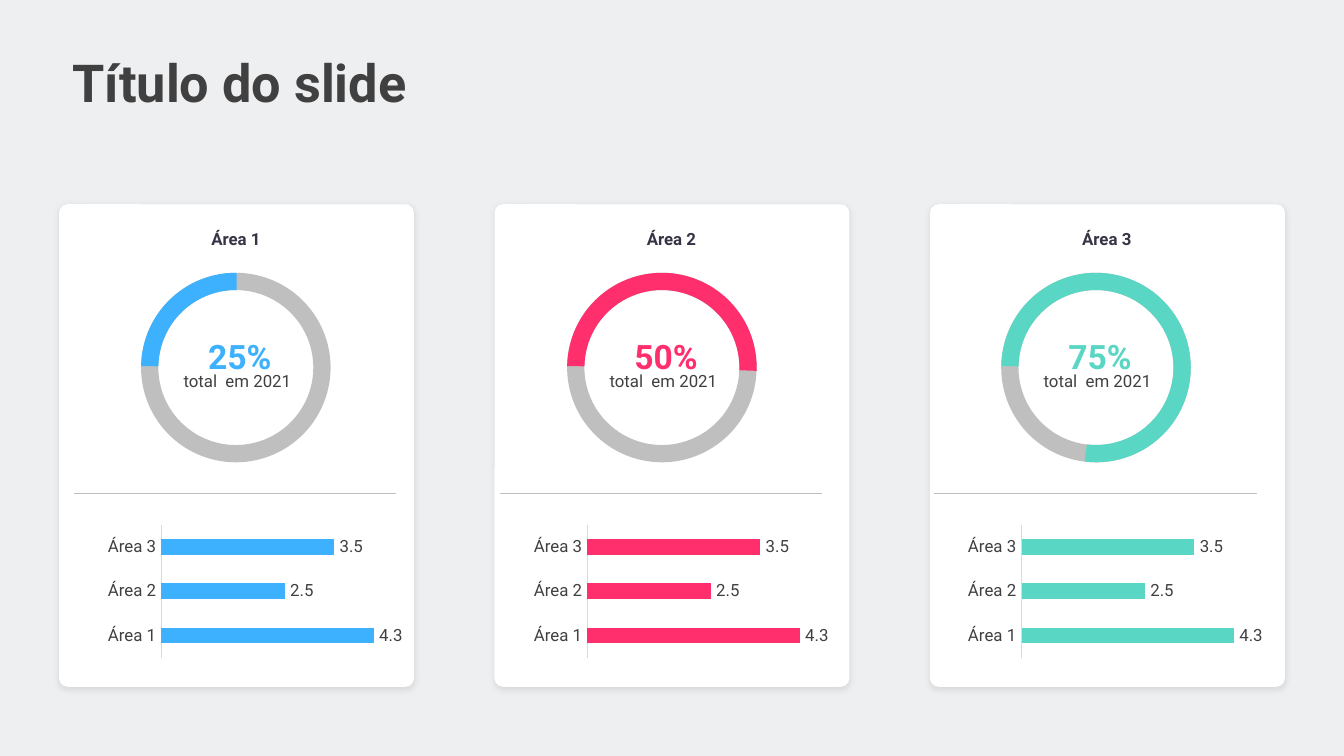
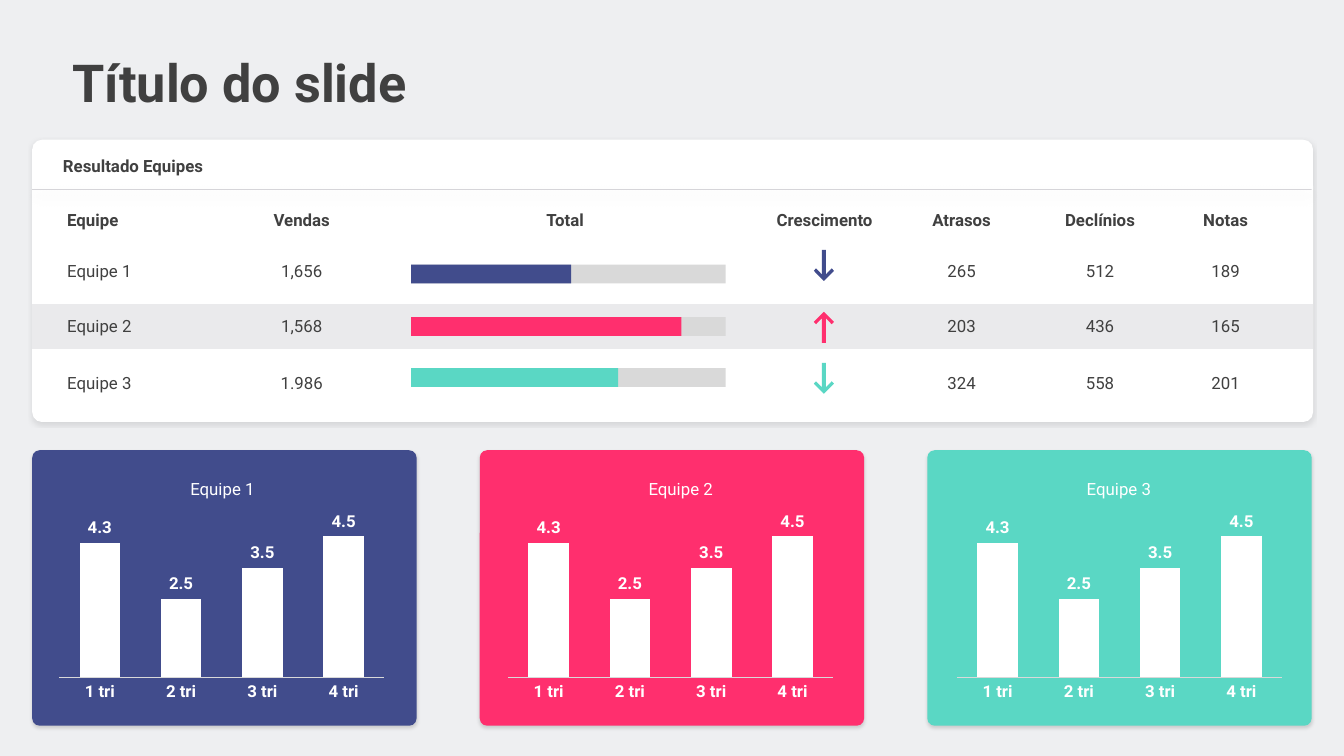
from lxml import etree
from pptx import Presentation
from pptx.chart.data import CategoryChartData
from pptx.dml.color import RGBColor
from pptx.enum.chart import XL_CHART_TYPE, XL_LABEL_POSITION, XL_TICK_MARK
from pptx.enum.shapes import MSO_CONNECTOR, MSO_SHAPE
from pptx.enum.text import MSO_ANCHOR, MSO_AUTO_SIZE, PP_ALIGN
from pptx.oxml.ns import qn
from pptx.util import Inches, Pt

BAR, COLUMN = XL_CHART_TYPE.BAR_CLUSTERED, XL_CHART_TYPE.COLUMN_CLUSTERED
OUTSIDE_END, NO_TICK = XL_LABEL_POSITION.OUTSIDE_END, XL_TICK_MARK.NONE
RECT, ROUNDED, ARC = MSO_SHAPE.RECTANGLE, MSO_SHAPE.ROUNDED_RECTANGLE, MSO_SHAPE.BLOCK_ARC
STRAIGHT = MSO_CONNECTOR.STRAIGHT
LEFT, CENTER = PP_ALIGN.LEFT, PP_ALIGN.CENTER
TOP, MIDDLE = MSO_ANCHOR.TOP, MSO_ANCHOR.MIDDLE
FIT_SHAPE, NO_FIT = MSO_AUTO_SIZE.SHAPE_TO_FIT_TEXT, MSO_AUTO_SIZE.NONE

FONT = "Roboto"
PAGE, WHITE, TEXT, DARK = "EEEFF1", "FFFFFF", "404040", "373545"
RING_GRAY, TRACK_GRAY, BAND_GRAY = "BFBFBF", "D9D9D9", "EAEAEC"
BLUE, PINK, TEAL, NAVY = "3DB1FE", "FF2F6E", "5AD7C4", "414C8C"
NO_GRID_STYLE = "{2D5ABB26-0587-4C30-8999-92F81FD0307C}"

AREA_CARD_SHADOW = ("000104", 10, 4, 1)
PANEL_SHADOW = ("000104", 10, 2, 1)
TEAM_CARD_SHADOW = ("000000", 15, 2, 1)
RULE_SHADOW = ("000000", 41, 7, 3)

AREAS = [
    ("Área 1", "25%", BLUE, 0.55, 270.5),
    ("Área 2", "50%", PINK, 3.72, 2),
    ("Área 3", "75%", TEAL, 6.95, 96.84),
]
AREA_VALUES = {"Área 1": 4.3, "Área 2": 2.5, "Área 3": 3.5}
QUARTER_VALUES = {"1 tri": 4.3, "2 tri": 2.5, "3 tri": 3.5, "4 tri": 4.5}

RESULTS = [
    ("Equipe", "Vendas", "Total", "Crescimento", "Atrasos", "Declínios", "Notas"),
    ("Equipe 1", "1,656", "", "", "265", "512", "189"),
    ("Equipe 2", "1,568", "", "", "203", "436", "165"),
    ("Equipe 3", "1.986", "", "", "324", "558", "201"),
]
COLUMN_WIDTHS = (1.47, 1.07, 2.85, 1.01, 1.03, 1.03, 1.07)
ROW_HEIGHTS = (0.29, 0.47, 0.34, 0.51)
TEAMS = [
    ("Equipe 1", NAVY, 1.22, 1.97, 1.19, 1.86, False),
    ("Equipe 2", PINK, 4.63, 2.36, 2.01, 2.32, True),
    ("Equipe 3", TEAL, 7.89, 2.74, 1.54, 2.7, False),
]


def rgb(value):
    """Turn a hex string into a colour."""
    return RGBColor.from_string(value)


def box(left, top, width, height):
    """Convert a rectangle in inches to lengths."""
    return [Inches(length) for length in (left, top, width, height)]


def style_font(font, size, color, bold=False):
    """Apply the common typeface with a size, colour and weight."""
    font.name, font.size, font.bold = FONT, Pt(size), bold
    font.color.rgb = rgb(color)


def add_alpha(color_element, percent):
    """Make a colour element partly transparent."""
    etree.SubElement(color_element, qn("a:alpha"), val=str(percent * 1000))


def add_shadow(effects, color, percent, blur, distance):
    """Add a downward shadow to an effect list."""
    outer = etree.SubElement(effects, qn("a:outerShdw"), blurRad=str(Pt(blur)),
                             dist=str(Pt(distance)), dir="5400000", algn="t", rotWithShape="0")
    add_alpha(etree.SubElement(outer, qn("a:srgbClr"), val=color), percent)


def paint(shape, color):
    """Give a shape a plain fill without outline or shadow."""
    shape.fill.solid()
    shape.fill.fore_color.rgb = rgb(color)
    shape.line.fill.background()
    shape.shadow.inherit = False


def add_block(slide, kind, bounds, color):
    """Add a plain filled preset shape."""
    block = slide.shapes.add_shape(kind, *box(*bounds))
    paint(block, color)
    return block


def add_card(slide, bounds, color, rounding, shadow):
    """Add a rounded card with a soft shadow."""
    card = add_block(slide, ROUNDED, bounds, color)
    card.adjustments[0] = rounding
    add_shadow(card._element.spPr.find(qn("a:effectLst")), *shadow)


def add_rule(slide, left, right, y, color):
    """Add a thin horizontal rule and return it with its effect list."""
    rule = slide.shapes.add_connector(STRAIGHT, Inches(left), Inches(y), Inches(right), Inches(y))
    rule.line.width = Pt(0.5)
    rule.line.color.rgb = rgb(color)
    return rule, etree.SubElement(rule._element.spPr, qn("a:effectLst"))


def add_label(slide, text, bounds, size=9, color=TEXT, bold=False, align=CENTER):
    """Add a one-line text box."""
    label = slide.shapes.add_textbox(*box(*bounds))
    frame = label.text_frame
    frame.word_wrap = True
    frame.auto_size = FIT_SHAPE
    frame.text = text
    frame.paragraphs[0].alignment = align
    style_font(frame.paragraphs[0].font, size, color, bold)


def add_arc(slide, left, start, end, color):
    """Add a ring segment running clockwise between two angles."""
    arc = add_block(slide, ARC, (left, 2.03, 1.41, 1.41), color)
    for index, value in enumerate((start * 0.6, end * 0.6, 0.091)):
        arc.adjustments[index] = value


def add_value_chart(slide, kind, bounds, values, color, text_color, gap, bold=False):
    """Add a single-series chart with value labels and no value axis."""
    data = CategoryChartData()
    data.categories = list(values)
    data.add_series("Series 1", list(values.values()))
    chart = slide.shapes.add_chart(kind, *box(*bounds), data).chart
    chart.has_legend = chart.has_title = False
    style_font(chart.font, 9, text_color, bold)
    chart.value_axis.visible = False
    chart.value_axis.has_major_gridlines = False
    chart.value_axis.minimum_scale, chart.value_axis.maximum_scale = 0, 5
    axis = chart.category_axis
    axis.major_tick_mark = NO_TICK
    axis.format.line.color.rgb = rgb(TRACK_GRAY)
    axis.format.line.width = Pt(0.75)
    style_font(axis.tick_labels.font, 9, text_color, bold)
    plot = chart.plots[0]
    plot.gap_width = gap
    plot.vary_by_categories = False
    plot.has_data_labels = True
    plot.data_labels.show_value = True
    plot.data_labels.position = OUTSIDE_END
    style_font(plot.data_labels.font, 9, text_color, bold)
    fill = plot.series[0].format.fill
    fill.solid()
    fill.fore_color.rgb = rgb(color)
    return chart


def place_plot(chart, **fractions):
    """Fix the inner plot area to fractions of the chart."""
    area = chart._chartSpace.find(".//" + qn("c:plotArea"))
    layout = area.find(qn("c:layout"))
    if layout is None:
        layout = etree.Element(qn("c:layout"))
        area.insert(0, layout)
    manual = etree.SubElement(layout, qn("c:manualLayout"))
    settings = {"layoutTarget": "inner", "xMode": "edge", "yMode": "edge", **fractions}
    for tag, value in settings.items():
        etree.SubElement(manual, qn("c:" + tag), val=str(value))


def add_arrow(slide, center, top, up, color):
    """Add a growth arrow pointing up or down, outlined in points."""
    height = 16.6
    half = [(5.4, 5.4), (4.2, 6.7), (1.1, 3.5), (1.1, height)]
    outline = [(0, 0)] + half + [(-x, y) for x, y in reversed(half)]
    points = [(Inches(center) + Pt(x), Inches(top) + Pt(y if up else height - y))
              for x, y in outline]
    builder = slide.shapes.build_freeform(*points[0])
    builder.add_line_segments(points[1:], close=True)
    paint(builder.convert_to_shape(), color)


def add_results_table(slide):
    """Add the team results with the second team highlighted."""
    frame = slide.shapes.add_table(len(RESULTS), len(COLUMN_WIDTHS), *box(
        0.24, 1.5, sum(COLUMN_WIDTHS), sum(ROW_HEIGHTS)))
    frame._element.find(".//" + qn("a:tableStyleId")).text = NO_GRID_STYLE
    table = frame.table
    table.first_row = table.horz_banding = False
    for column, width in zip(table.columns, COLUMN_WIDTHS):
        column.width = Inches(width)
    for r, (row, height) in enumerate(zip(RESULTS, ROW_HEIGHTS)):
        table.rows[r].height = Inches(height)
        for c, text in enumerate(row):
            cell = table.cell(r, c)
            cell.margin_left = Inches(0.26 if c == 0 else 0)
            cell.margin_right = Inches(0.23 if c == len(row) - 1 else 0)
            cell.margin_top = cell.margin_bottom = 0
            cell.vertical_anchor = MIDDLE
            if r == 2:
                cell.fill.solid()
                cell.fill.fore_color.rgb = rgb(BAND_GRAY)
            else:
                cell.fill.background()
            cell.text = text
            paragraph = cell.text_frame.paragraphs[0]
            paragraph.alignment = CENTER if c else LEFT
            style_font(paragraph.font, 9, TEXT, r == 0)


def add_titled_slide(prs):
    """Add a slide with the shared title style."""
    slide = prs.slides.add_slide(prs.slide_layouts[5])
    title = slide.shapes.title
    title.left, title.top, title.width, title.height = box(0.44, 0.32, 4.42, 0.57)
    frame = title.text_frame
    frame.text = "Título do slide"
    frame.auto_size = NO_FIT
    frame.vertical_anchor = TOP
    frame.paragraphs[0].alignment = LEFT
    style_font(frame.paragraphs[0].font, 28, TEXT, True)
    return slide


def build_areas(slide):
    """Draw one card with ring and bars per area."""
    for index, (name, share, color, left, arc_end) in enumerate(AREAS):
        card_left = 0.44 + 3.24 * index
        add_card(slide, (card_left, 1.52, 2.64, 3.59), WHITE, 0.024, AREA_CARD_SHADOW)
        add_label(slide, name, (card_left + 0.74, 1.65, 1.15, 0.25), color=DARK, bold=True)
        add_arc(slide, left + 0.5, 359.12, 359.09, RING_GRAY)
        add_arc(slide, left + 0.5, 180.9, arc_end, color)
        add_label(slide, share, (left + 0.66, 2.45, 1.15, 0.4), 18, color, True)
        add_label(slide, "total  em 2021", (left + 0.64, 2.71, 1.15, 0.25))
        chart = add_value_chart(slide, BAR, (left + 0.07, 3.75, 2.42, 1.3),
                                AREA_VALUES, color, TEXT, 182)
        place_plot(chart, x=0.24, y=0.12, w=0.76, h=0.76)
        add_rule(slide, left, left + 2.4, 3.67, RING_GRAY)


def build_teams(slide):
    """Draw the results panel and one column chart card per team."""
    add_card(slide, (0.24, 1.04, 9.53, 2.1), WHITE, 0.034, PANEL_SHADOW)
    add_label(slide, "Resultado Equipes", (0.37, 1.11, 1.45, 0.25), bold=True, align=LEFT)
    rule, effects = add_rule(slide, 0.24, 9.76, 1.41, DARK)
    add_alpha(rule._element.find(".//" + qn("a:srgbClr")), 20)
    add_shadow(effects, *RULE_SHADOW)
    add_results_table(slide)
    for index, (name, color, name_left, bar_top, total, arrow_top, up) in enumerate(TEAMS):
        add_block(slide, RECT, (3.06, bar_top, 2.34, 0.14), TRACK_GRAY)
        add_block(slide, RECT, (3.06, bar_top, total, 0.14), color)
        add_arrow(slide, 6.13, arrow_top, up, color)
        add_card(slide, (0.24 + 3.33 * index, 3.35, 2.86, 2.05), color, 0.027, TEAM_CARD_SHADOW)
        chart = add_value_chart(slide, COLUMN, (0.39 + 3.34 * index, 3.81, 2.52, 1.44),
                                QUARTER_VALUES, WHITE, WHITE, 100, True)
        chart.plots[0].overlap = -27
        add_label(slide, name, (name_left, 3.51, 0.87, 0.25), color=WHITE)


def main():
    """Build and save the two dashboard slides."""
    prs = Presentation()
    prs.slide_width = Inches(10)
    prs.slide_height = prs.slide_width * 9 // 16
    backdrop = prs.slide_master.background.fill
    backdrop.solid()
    backdrop.fore_color.rgb = rgb(PAGE)
    build_areas(add_titled_slide(prs))
    build_teams(add_titled_slide(prs))
    prs.save("out.pptx")


if __name__ == "__main__":
    main()
